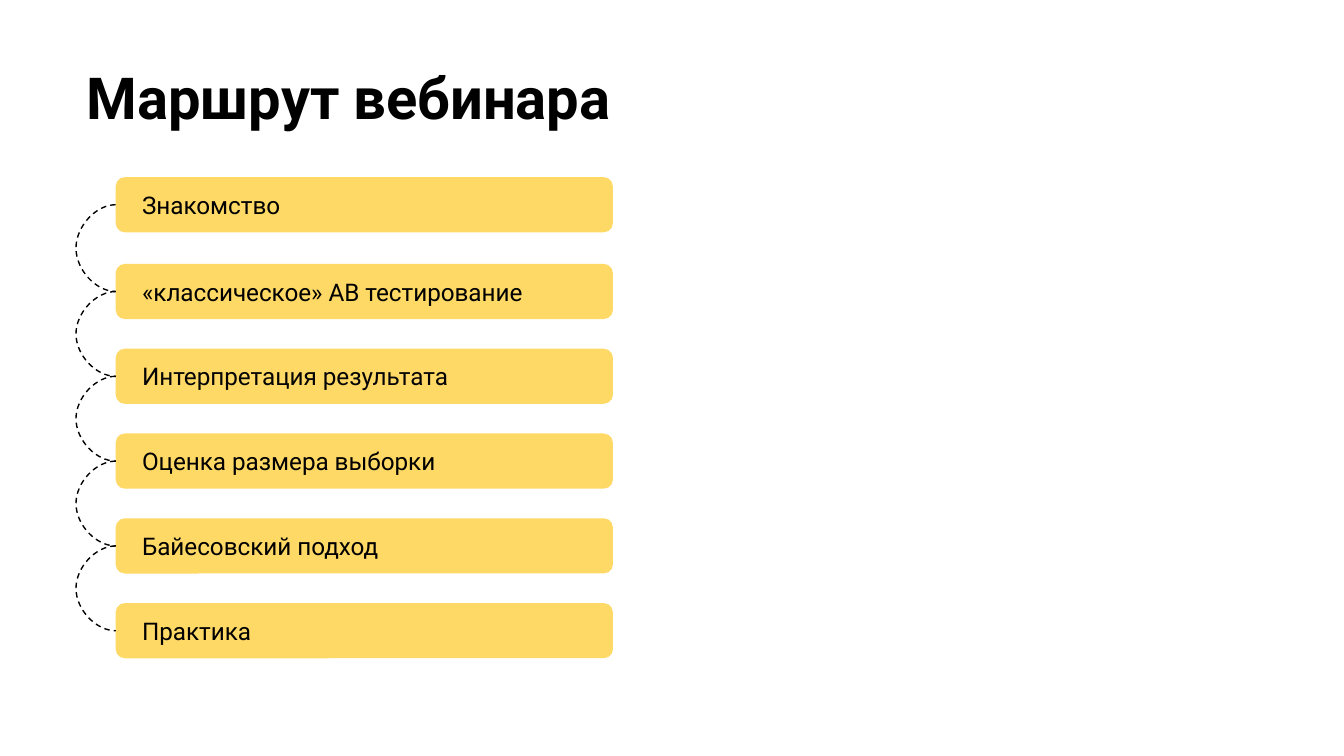
"""Build the webinar route slide: a title and a chain of linked steps."""
from dataclasses import dataclass
from itertools import pairwise

from lxml import etree
from pptx import Presentation
from pptx.dml.color import RGBColor
from pptx.enum import dml, shapes, text
from pptx.oxml import ns
from pptx.util import Pt

LEFT, TOP, PITCH, FIRST_EXTRA = 62, 94.9, 45.43, 1.05
WIDTH, HEIGHT = 266.4, 29.6
BULGE, SPAN = 18.75, 0.05


@dataclass
class Step:
    """One stage of the webinar."""
    label: str
    color: str = "000000"


STEPS = [
    Step("Знакомство"),
    Step("«классическое» АВ тестирование"),
    Step("Интерпретация результата", "050505"),
    Step("Оценка размера выборки"),
    Step("Байесовский подход"),
    Step("Практика"),
]


def paint(target, color: str) -> None:
    """Give a fill or line format a solid colour."""
    fill = getattr(target, "fill", target)
    fill.solid()
    fill.fore_color.rgb = RGBColor.from_string(color)


def write(box, content: str, *, size: float, color: str = "000000", bold: bool = False,
          anchor=text.MSO_ANCHOR.TOP, inset: float = 7.2) -> None:
    """Put left-aligned Roboto text into a shape."""
    frame = box.text_frame
    frame.word_wrap = True
    frame.auto_size = text.MSO_AUTO_SIZE.NONE
    frame.vertical_anchor = anchor
    frame.margin_left = frame.margin_right = Pt(inset)
    frame.margin_top = frame.margin_bottom = Pt(7.2)
    para = frame.paragraphs[0]
    para.alignment = text.PP_ALIGN.LEFT
    span = para.add_run()
    span.text = content
    span.font.name = "Roboto"
    span.font.size = Pt(size)
    span.font.bold = bold
    paint(span.font, color)


def add_step(page, index: int, step: Step):
    """Draw one step as a rounded bar."""
    top = TOP + index * PITCH + (FIRST_EXTRA if index else 0)
    bar = page.shapes.add_shape(shapes.MSO_SHAPE.ROUNDED_RECTANGLE, Pt(LEFT),
                                Pt(top), Pt(WIDTH), Pt(HEIGHT))
    bar.adjustments[0] = 0.167
    bar.shadow.inherit = False
    bar.line.fill.background()
    paint(bar.fill, "FFD966")
    write(bar, step.label, size=13, color=step.color,
          anchor=text.MSO_ANCHOR.MIDDLE, inset=12.7)
    return bar


def add_link(page, upper, lower) -> None:
    """Join the left sides of two bars with a dashed arc."""
    link = page.shapes.add_connector(shapes.MSO_CONNECTOR.CURVE, upper.left, upper.top,
                                     lower.left, lower.top)
    link.begin_connect(upper, 1)
    link.end_connect(lower, 1)
    link.width = Pt(SPAN)
    paint(link.line, "000000")
    link.line.width = Pt(0.75)
    link.line.dash_style = dml.MSO_LINE.DASH
    properties = link._element.spPr
    etree.SubElement(properties, ns.qn("a:effectLst"))
    guides = properties.find(f"{ns.qn('a:prstGeom')}/{ns.qn('a:avLst')}")
    etree.SubElement(guides, ns.qn("a:gd"), name="adj1",
                     fmla=f"val {round(-BULGE / SPAN * 100000)}")


def main() -> None:
    """Assemble and save the deck."""
    deck = Presentation()
    deck.slide_width, deck.slide_height = Pt(720), Pt(405)
    page = deck.slides.add_slide(deck.slide_layouts[5])
    paint(page.background.fill, "FFFFFF")
    title = page.shapes.title
    title.left, title.top, title.width, title.height = Pt(39.3), Pt(25.9), Pt(671), Pt(86.4)
    write(title, "Маршрут вебинара", size=31, bold=True)
    bars = [add_step(page, index, step) for index, step in enumerate(STEPS)]
    for upper, lower in pairwise(bars):
        add_link(page, upper, lower)
    deck.save("out.pptx")


if __name__ == "__main__":
    main()
